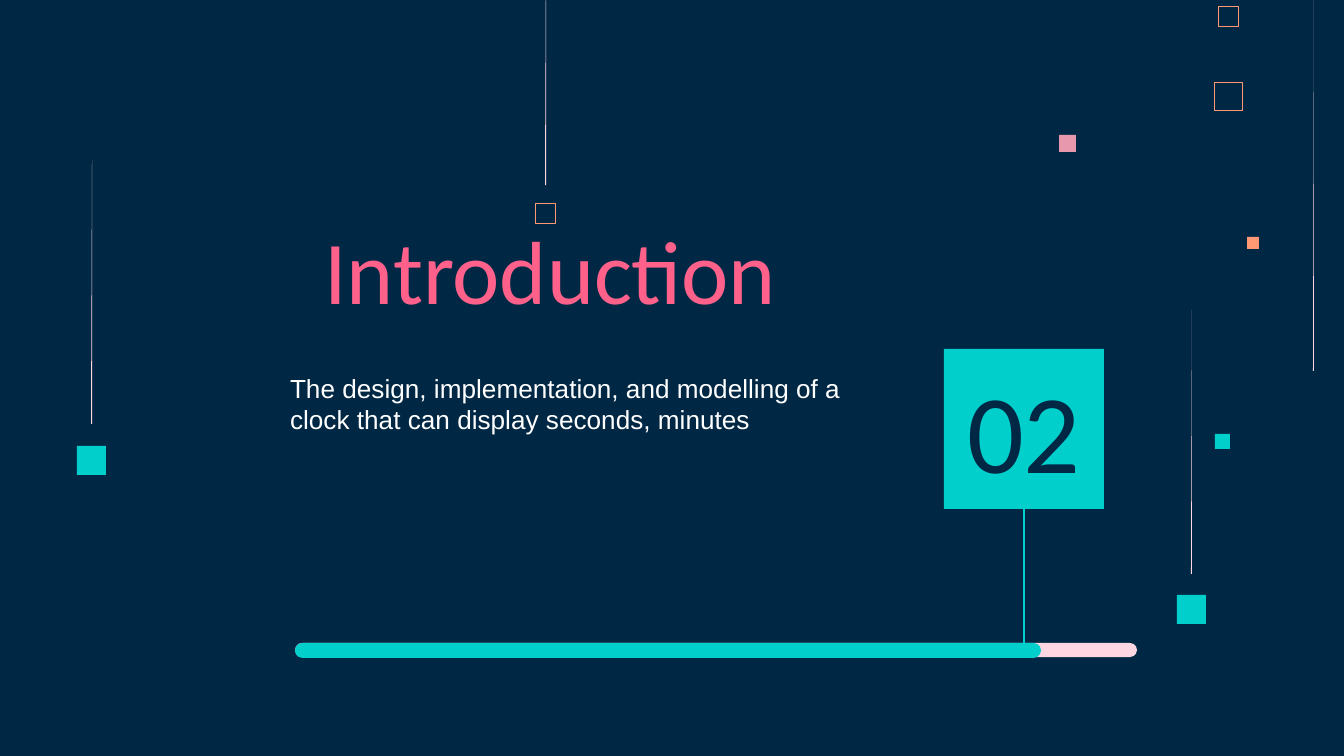
"""Build the section slide that introduces chapter 02."""
from lxml import etree
from pptx import Presentation
from pptx.dml.color import RGBColor
from pptx.enum.shapes import MSO_CONNECTOR, MSO_SHAPE
from pptx.enum.text import MSO_ANCHOR, MSO_AUTO_SIZE, PP_ALIGN
from pptx.oxml.ns import qn
from pptx.util import Emu, Pt

NAVY = RGBColor(0x00, 0x28, 0x45)
TEAL = RGBColor(0x00, 0xCF, 0xCC)
ROSE = RGBColor(0xFF, 0x61, 0x8B)
DUSTY = RGBColor(0xE8, 0x98, 0xAC)
BLUSH = RGBColor(0xFF, 0xD6, 0xE1)
ORANGE = RGBColor(0xFF, 0x99, 0x73)
WHITE = RGBColor(0xFF, 0xFF, 0xFF)

RECT, ROUNDED = MSO_SHAPE.RECTANGLE, MSO_SHAPE.ROUNDED_RECTANGLE
STRAIGHT = MSO_CONNECTOR.STRAIGHT
TOP, MIDDLE, BOTTOM = MSO_ANCHOR.TOP, MSO_ANCHOR.MIDDLE, MSO_ANCHOR.BOTTOM
LEFT, CENTER = PP_ALIGN.LEFT, PP_ALIGN.CENTER
NO_FIT = MSO_AUTO_SIZE.NONE
SCALE = 914400 / 134.4
INSET = 13


def px(n):
    """Turn pixels into EMU."""
    return Emu(round(n * SCALE))


class Deck:
    """Hold the style and the current slide."""

    def __init__(self, width, height):
        self.prs = Presentation()
        self.prs.slide_width, self.prs.slide_height = px(width), px(height)
        self.s = self.prs.slides.add_slide(self.prs.slide_layouts[5])
        fill = self.s.background.fill
        fill.solid()
        fill.fore_color.rgb = NAVY

    def paint(self, sp, fill=None, line=None, weight=0.32):
        sp.shadow.inherit = False
        if fill is None:
            sp.fill.background()
        else:
            sp.fill.solid()
            sp.fill.fore_color.rgb = fill
        if line is None:
            sp.line.fill.background()
        else:
            sp.line.color.rgb = line
            sp.line.width = Pt(weight)

    def square(self, x, y, size, **style):
        sp = self.s.shapes.add_shape(RECT, px(x), px(y), px(size), px(size))
        self.paint(sp, **style)

    def bar(self, x, y, w, h, color):
        sp = self.s.shapes.add_shape(ROUNDED, px(x), px(y), px(w), px(h))
        sp.adjustments[0] = 0.5
        self.paint(sp, color)

    def thread(self, x, top, bottom):
        fb = self.s.shapes.build_freeform(x + 1, top, scale=SCALE)
        fb.add_line_segments([(x, bottom), (x + 1, bottom)], close=True)
        self.paint(fb.convert_to_shape(), BLUSH)

    def stem(self, x, top, bottom, color, weight):
        cx = self.s.shapes.add_connector(STRAIGHT, px(x), px(top), px(x), px(bottom))
        cx.line.color.rgb = color
        cx.line.width = Pt(weight)
        etree.SubElement(cx._element.spPr, qn("a:effectLst"))

    def set_text(self, sp, box, text, font, size, color, anchor, align):
        for name, n in zip(("left", "top", "width", "height"), box):
            setattr(sp, name, px(n))
        tf = sp.text_frame
        frame = {"word_wrap": True, "auto_size": NO_FIT, "vertical_anchor": anchor}
        frame.update({f"margin_{side}": px(INSET) for side in ("left", "top", "right", "bottom")})
        for name, value in frame.items():
            setattr(tf, name, value)
        p = tf.paragraphs[0]
        p.alignment = align
        r = p.add_run()
        r.text = text
        for name, value in {"name": font, "size": Pt(size)}.items():
            setattr(r.font, name, value)
        r.font.color.rgb = color

    def title(self, box, *style):
        self.set_text(self.s.shapes.title, box, *style)

    def text(self, box, *style):
        self.set_text(self.s.shapes.add_textbox(0, 0, 0, 0), box, *style)


def main():
    deck = Deck(1344, 756)

    for x, y, size, color in (
        (1059, 135, 17, DUSTY), (1215, 434, 15, TEAL), (1247, 237, 12, ORANGE),
        (1177, 595, 29, TEAL), (77, 446, 29, TEAL),
    ):
        deck.square(x, y, size, fill=color)
    for x, y, size, weight in ((1214, 82, 28, 0.45), (1218, 6, 20, 0.32), (535, 203, 20, 0.32)):
        deck.square(x, y, size, line=ORANGE, weight=weight)
    for x, top, bottom in ((545, -65, 185), (1313, 0, 371), (1191, 310, 574), (91, 160, 424)):
        deck.thread(x, top, bottom)

    deck.title((203, 233, 695, 103), "Introduction", "Calibri", 48, ROSE, BOTTOM, CENTER)
    deck.text(
        (277, 359, 602, 79),
        "The design, implementation, and modelling of a clock that can display seconds, minutes",
        "Arial", 14, WHITE, TOP, LEFT,
    )

    deck.square(944, 349, 160, fill=TEAL)
    deck.text((952, 386, 144, 85), "02", "Calibri", 60, NAVY, MIDDLE, CENTER)
    deck.bar(295, 643, 842, 14, BLUSH)
    deck.bar(295, 643, 746, 15, TEAL)
    deck.stem(1024, 508, 652, TEAL, 1.5)

    deck.prs.save("out.pptx")


if __name__ == "__main__":
    main()
